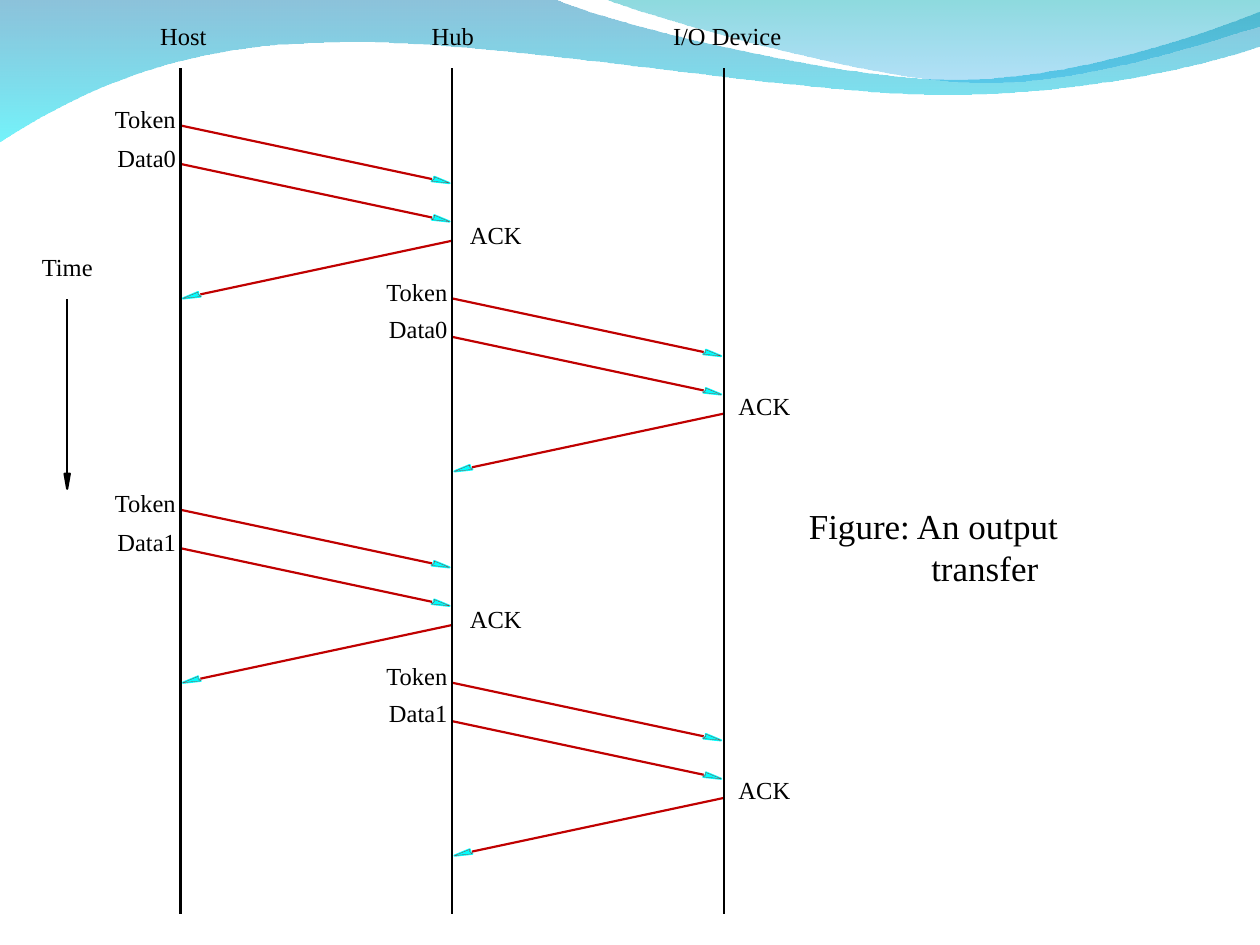
from dataclasses import dataclass

from lxml.etree import SubElement
from pptx import Presentation
from pptx.dml.color import RGBColor
from pptx.enum.shapes import MSO_CONNECTOR as Connector
from pptx.enum.text import MSO_AUTO_SIZE as AutoSize
from pptx.oxml.ns import qn
from pptx.shapes.autoshape import Shape
from pptx.shapes.shapetree import SlideShapes
from pptx.util import Pt

Point = tuple[float, float]

BLACK = RGBColor(0x00, 0x00, 0x00)
RED = RGBColor(0xC0, 0x00, 0x00)
CYAN = RGBColor(0x00, 0xFF, 0xFF)
FONT = "Times New Roman"
LINE_WIDTH = 1.25
HAIRLINE = 0.1

# Lifelines and the vertical time grid
HOST, HUB, DEVICE = 103.1, 258.3, 413.5
LIFELINE_TOP, LIFELINE_END = 39, 522
FIRST_TOKEN = 71.7
STEP = 10.98
DATA_DELAY, DROP, ACK_DELAY = 2 * STEP, 3 * STEP, 6 * STEP
HOP, PERIOD = 9 * STEP, 20 * STEP

# Arrowhead outline relative to its tip, pointing right
HEAD = [(-10.2, -1.1), (0, 0), (-8.7, -3.6), (-8.7, -2.3)]
TIP_GAP, SHAFT_GAP, SHAFT_RISE = 1.4, 11.4, 2.3
TIME_X, TIME_TOP, TIME_END = 38.4, 170.6, 270.7


@dataclass(frozen=True)
class Wave:
    """A header wave: straight points and cubic curves (three points each)."""
    start: Point
    segments: list[tuple[Point, ...]]
    stops: list[tuple[RGBColor, int]]


@dataclass(frozen=True)
class Hop:
    """One leg of the transfer, with the placement of its labels."""
    sender: float
    receiver: float
    delay: float
    label_rise: float
    ack_gap: float


@dataclass(frozen=True)
class Label:
    """A short piece of diagram text."""
    text: str
    left: float
    top: float
    width: float


WAVES = [
    Wave((0, -0.7),
         [((316.8, -0.7),),
          ((342.7, 12.2), (478.1, 45.4), (545.8, 45.4)),
          ((614.2, 45.4), (689.8, 18.7), (720, 6.5)),
          ((720.7, 25.9),),
          ((707.8, 31.7), (626.4, 54.7), (537.1, 54)),
          ((447.8, 54), (275, 20.2), (185, 24.5)),
          ((92.9, 25.2), (33.1, 59.8), (-0.7, 81.4))],
         [(RGBColor(0x00, 0x79, 0xAF), 45), (RGBColor(0x00, 0xEB, 0xF8), 55)]),
    Wave((344.9, -0.7),
         [((366.5, 7.9), (491, 44.6), (553.7, 46.8)),
          ((616.3, 49.7), (691.9, 23), (720, 15.1)),
          ((720, 0),)],
         [(RGBColor(0x00, 0xAD, 0xB6), 45), (RGBColor(0x00, 0x9B, 0xE5), 30)]),
]
HOPS = [Hop(HOST, HUB, 0, 12.1, 10.2), Hop(HUB, DEVICE, HOP, 13.2, 8.5)]
TITLES = [
    Label("Host", 91.5, 12.2, 28),
    Label("Hub", 246.7, 12.2, 26),
    Label("I/O Device", 384.6, 12.2, 64),
    Label("Time", 23.9, 144, 31),
]


def curve(start: Point, segment: tuple[Point, ...], steps: int = 30) -> list[Point]:
    """Return points along a cubic curve, or the single point of a line."""
    if len(segment) == 1:
        return list(segment)
    points = []
    for i in range(1, steps + 1):
        t = i / steps
        weights = ((1 - t) ** 3, 3 * t * (1 - t) ** 2, 3 * t * t * (1 - t), t ** 3)
        controls = (start, *segment)
        points.append(tuple(sum(w * c[axis] for w, c in zip(weights, controls))
                            for axis in (0, 1)))
    return points


def add_outline(shapes: SlideShapes, points: list[Point]) -> Shape:
    """Add a closed freeform through the points."""
    (x, y), *rest = points
    builder = shapes.build_freeform(Pt(x), Pt(y), scale=1.0)
    builder.add_line_segments([(Pt(px), Pt(py)) for px, py in rest], close=True)
    outline = builder.convert_to_shape()
    outline.shadow.inherit = False
    return outline


def add_wave(shapes: SlideShapes, wave: Wave) -> None:
    """Add a wave with a translucent vertical gradient."""
    points = [wave.start]
    for segment in wave.segments:
        points += curve(points[-1], segment)
    band = add_outline(shapes, points)
    band.line.fill.background()
    band.fill.gradient()
    band.fill.gradient_angle = 270
    for stop, (color, _) in zip(band.fill.gradient_stops, wave.stops):
        stop.color.rgb = color
    colors = band._element.spPr.iter(qn("a:srgbClr"))
    for color_node, (_, opacity) in zip(colors, wave.stops):
        SubElement(color_node, qn("a:alpha")).set("val", str(opacity * 1000))


def add_line(shapes: SlideShapes, start: Point, end: Point, color: RGBColor) -> None:
    """Add a straight line without a shadow."""
    line = shapes.add_connector(Connector.STRAIGHT, *map(Pt, (*start, *end)))
    line.line.color.rgb = color
    line.line.width = Pt(LINE_WIDTH)
    SubElement(line._element.spPr, qn("a:effectLst"))


def add_head(shapes: SlideShapes, points: list[Point], fill: RGBColor,
             edge: RGBColor) -> None:
    """Add an arrowhead: a wide rim under a filled shape with a hairline edge."""
    rim = add_outline(shapes, points)
    rim.fill.background()
    rim.line.color.rgb = fill
    rim.line.width = Pt(LINE_WIDTH)
    body = add_outline(shapes, points)
    body.fill.solid()
    body.fill.fore_color.rgb = fill
    body.line.color.rgb = edge
    body.line.width = Pt(HAIRLINE)


def add_message(shapes: SlideShapes, sender: float, receiver: float, y: float) -> None:
    """Add a slanted message arrow between two lifelines."""
    way = 1 if receiver > sender else -1
    tip_x, tip_y = receiver - way * TIP_GAP, y + DROP
    add_head(shapes, [(tip_x + way * dx, tip_y + dy) for dx, dy in HEAD], CYAN, RED)
    add_line(shapes, (receiver - way * SHAFT_GAP, tip_y - SHAFT_RISE), (sender, y), RED)


def add_text(shapes: SlideShapes, label: Label, size: float = 14, height: float = 16.8,
             wrap: bool = False) -> Shape:
    """Add a text box without margins."""
    box = shapes.add_textbox(*map(Pt, (label.left, label.top, label.width, height)))
    frame = box.text_frame
    frame.margin_left = frame.margin_right = frame.margin_top = frame.margin_bottom = 0
    frame.word_wrap = wrap
    frame.auto_size = AutoSize.SHAPE_TO_FIT_TEXT
    frame.text = label.text
    for paragraph in frame.paragraphs:
        paragraph.font.name = FONT
        paragraph.font.size = Pt(size)
        paragraph.font.color.rgb = BLACK
    return box


def add_hop(shapes: SlideShapes, hop: Hop, packet: int) -> None:
    """Add the token, data and acknowledgement of one hop."""
    token = FIRST_TOKEN + packet * PERIOD + hop.delay
    data, ack = token + DATA_DELAY, token + ACK_DELAY
    add_message(shapes, hop.sender, hop.receiver, token)
    add_message(shapes, hop.sender, hop.receiver, data)
    add_message(shapes, hop.receiver, hop.sender, ack)
    add_text(shapes, Label("Token", hop.sender - 37.5, token - 12.2, 37))
    add_text(shapes, Label(f"Data{packet}", hop.sender - 36, data - hop.label_rise, 36))
    add_text(shapes, Label("ACK", hop.receiver + hop.ack_gap, ack - hop.label_rise, 34))


def main() -> None:
    """Build the slide and save it."""
    deck = Presentation()
    deck.slide_width, deck.slide_height = Pt(720), Pt(540)
    shapes = deck.slides.add_slide(deck.slide_layouts[6]).shapes
    for wave in WAVES:
        add_wave(shapes, wave)
    caption = add_text(shapes, Label("Figure: An output\ntransfer", 462.2, 288.4, 222),
                       size=20, height=48, wrap=True)
    caption.text_frame.paragraphs[1]._p.get_or_add_pPr().set("marL", str(Pt(70)))
    for packet in range(2):
        for hop in HOPS:
            add_hop(shapes, hop, packet)
    for x in (HOST, HUB, DEVICE):
        add_line(shapes, (x, LIFELINE_END), (x, LIFELINE_TOP), BLACK)
    for title in TITLES:
        add_text(shapes, title)
    time_head = [(TIME_X - 1.5, TIME_END), (TIME_X, TIME_END + 8.6), (TIME_X + 1.5, TIME_END)]
    add_head(shapes, time_head, BLACK, BLACK)
    add_line(shapes, (TIME_X, TIME_END), (TIME_X, TIME_TOP), BLACK)
    deck.save("out.pptx")


main()
